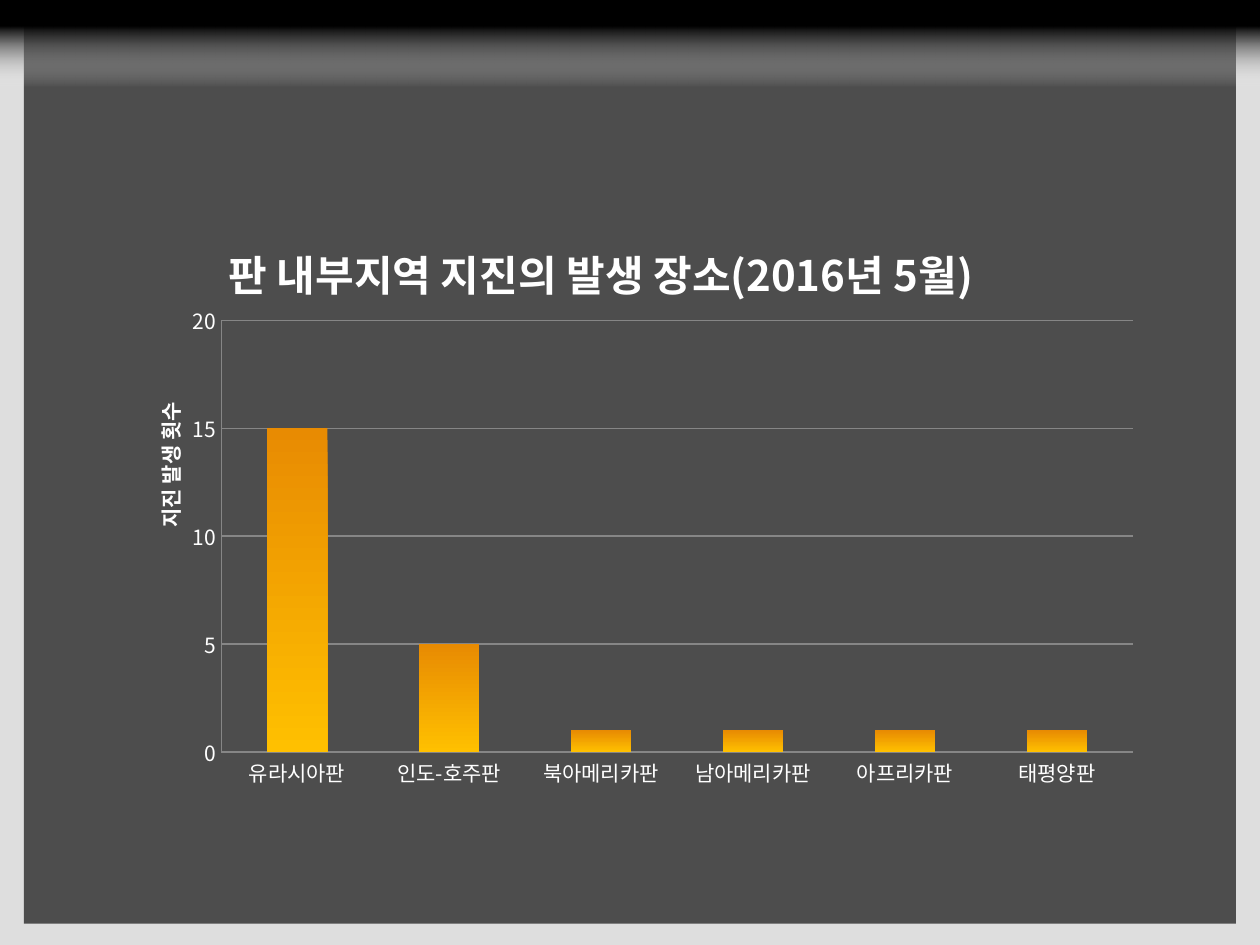
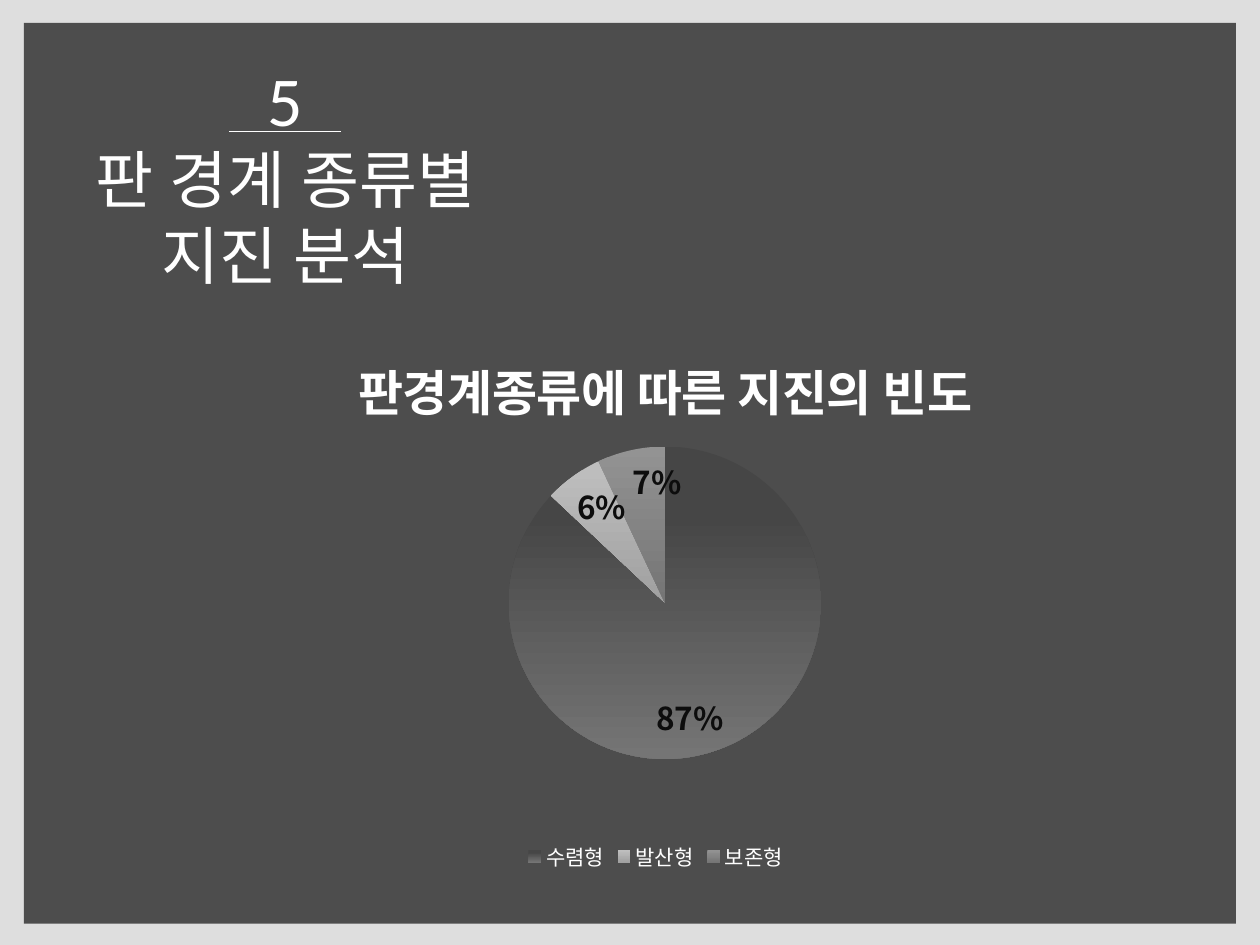
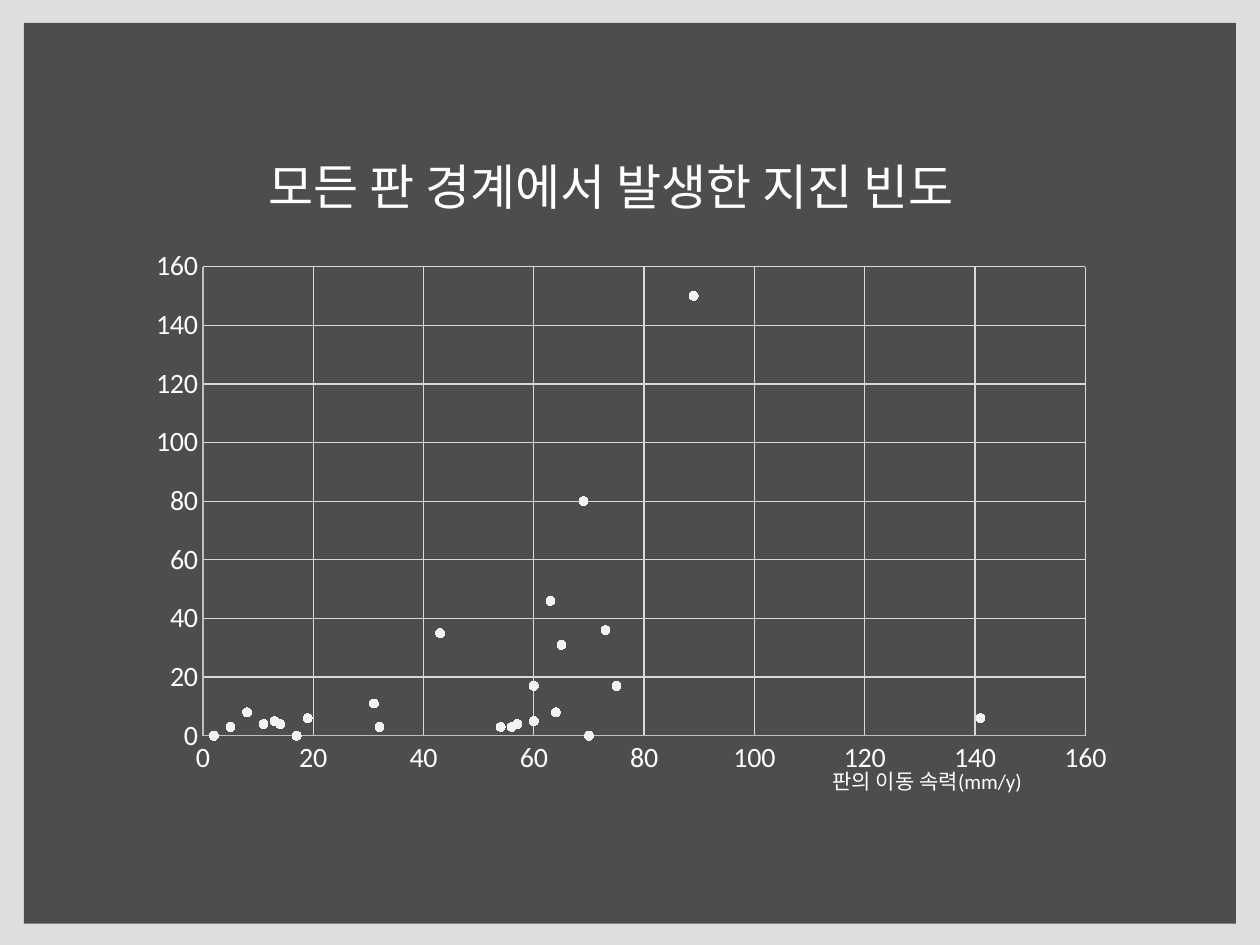
from lxml import etree
from pptx import Presentation
from pptx.chart.data import CategoryChartData, XyChartData
from pptx.dml.color import RGBColor
from pptx.enum.chart import (XL_CHART_TYPE as ChartType, XL_LABEL_POSITION as LabelPosition,
                             XL_LEGEND_POSITION as LegendPosition,
                             XL_MARKER_STYLE as MarkerStyle, XL_TICK_MARK as TickMark)
from pptx.enum.shapes import MSO_CONNECTOR as Connector, MSO_SHAPE as Shape
from pptx.enum.text import MSO_AUTO_SIZE as AutoSize, PP_ALIGN as Align
from pptx.oxml import parse_xml
from pptx.oxml.ns import qn
from pptx.util import Pt

COLORS = {name: RGBColor.from_string(value) for name, value in {
    "black": "000000", "white": "FFFFFF", "ink": "0D0D0D", "marker": "F2F2F2",
    "grid": "D9D9D9", "axis": "BFBFBF", "dim_grid": "868686",
    "orange": "E88B02", "gold": "FFC000",
    "charcoal": "464646", "gray": "757575", "silver": "BFBFBF",
    "dark_silver": "A0A0A0", "steel": "939393"}.items()}
KOREAN = "Noto Sans CJK KR"
CHART_NS = "http://schemas.openxmlformats.org/drawingml/2006/chart"


def fill_gradient(fill, top, bottom, start=0):
    """Vertical gradient that begins at the given fraction of the height."""
    fill.gradient()
    fill.gradient_angle = 270
    for stop, color, position in zip(fill.gradient_stops, (top, bottom), (start, 1)):
        stop.color.rgb = COLORS[color]
        stop.position = position


def place(element, **fractions):
    """Fix a chart title or plot area at fractions of the chart's size."""
    for layout in element.findall(qn("c:layout")):
        element.remove(layout)
    is_plot = element.tag == qn("c:plotArea")
    target = '<c:layoutTarget val="inner"/>' if is_plot else ""
    modes = "".join(f'<c:{side}Mode val="edge"/>' for side in "xy")
    sizes = "".join(f'<c:{side} val="{value}"/>' for side, value in fractions.items())
    layout = parse_xml(f'<c:layout xmlns:c="{CHART_NS}"><c:manualLayout>'
                       f'{target}{modes}{sizes}</c:manualLayout></c:layout>')
    element.insert(0 if is_plot else 1, layout)


deck = Presentation()
deck.slide_width, deck.slide_height = Pt(720), Pt(540)
pages = [deck.slides.add_slide(deck.slide_layouts[6]) for _ in range(3)]
plates_page, types_page, speed_page = pages

# Shared backdrop: a pale frame and a dark panel: left, top, width, height, opacity
for page in pages:
    for left, top, width, height, opacity in [(0, 0, 720, 540, 13),
                                              (13.7, 13, 692.6, 514.8, 65)]:
        panel = page.shapes.add_shape(Shape.RECTANGLE, Pt(left), Pt(top), Pt(width), Pt(height))
        panel.shadow.inherit = False
        panel.line.fill.background()
        panel.fill.solid()
        panel.fill.fore_color.rgb = COLORS["black"]
        color = panel._element.spPr.find(".//" + qn("a:srgbClr"))
        etree.SubElement(color, qn("a:alpha")).set("val", str(opacity * 1000))

# Slide 1: black band fading out below the top edge
band = plates_page.shapes.add_shape(Shape.RECTANGLE, 0, 0, Pt(749.5), Pt(49.7))
band.shadow.inherit = False
band.line.fill.background()
fill_gradient(band.fill, "black", "white", 0.3)
clear_end = band._element.spPr.findall(".//" + qn("a:srgbClr"))[-1]
etree.SubElement(clear_end, qn("a:alpha")).set("val", "0")

# Chart data
plate_data = CategoryChartData()
plate_data.categories = ["유라시아판", "인도-호주판", "북아메리카판",
                         "남아메리카판", "아프리카판", "태평양판"]
plate_data.add_series("Series 1", [15, 5, 1, 1, 1, 1])

type_data = CategoryChartData()
type_data.categories = ["수렴형", "발산형", "보존형"]
type_data.add_series("Series 1", [87, 6, 7])

speed_data = XyChartData()
speed_series = speed_data.add_series("Series 1")
speeds = [19, 31, 17, 8, 13, 32, 14, 2, 32, 63, 64, 5, 69,
          89, 43, 65, 57, 54, 141, 56, 11, 75, 60, 73, 60, 70]
quakes = [6, 11, 0, 8, 5, 3, 4, 0, 3, 46, 8, 3, 80,
          150, 35, 31, 4, 3, 6, 3, 4, 17, 5, 36, 17, 0]
for speed, count in zip(speeds, quakes):
    speed_series.add_data_point(speed, count)

# Charts: page, type, data, frame, font, size, plot area fractions
charts = []
for page, kind, data, frame, font, size, plot_area in [
    (plates_page, ChartType.COLUMN_CLUSTERED, plate_data, (60.5, 114.5, 599, 342.7),
     KOREAN, 12, (0.11, 0.2, 0.87, 0.72)),
    (types_page, ChartType.PIE, type_data, (109.4, 164.2, 530.6, 337),
     KOREAN, 10, (0.28, 0.27, 0.46, 0.53)),
    (speed_page, ChartType.XY_SCATTER, speed_data, (76.3, 136.8, 566.6, 311.8),
     "Calibri", 16, (0.07, 0.05, 0.89, 0.86)),
]:
    chart = page.shapes.add_chart(kind, *map(Pt, frame), data).chart
    chart.font.name, chart.font.size = font, Pt(size)
    chart.font.color.rgb = COLORS["white"]
    chart.has_legend = chart.has_title = False
    place(chart._chartSpace.chart.plotArea, **dict(zip("xywh", plot_area)))
    charts.append(chart)
plate_chart, type_chart, speed_chart = charts

# Chart titles and the axis title
plate_axis = plate_chart.value_axis
for owner, title, text, size, x, y in [
    (plate_chart, plate_chart.chart_title, "판 내부지역 지진의 발생 장소(2016년 5월)", 24, 0.11, 0.05),
    (type_chart, type_chart.chart_title, "판경계종류에 따른 지진의 빈도", 28, 0.17, 0.09),
    (plate_axis, plate_axis.axis_title, "지진 발생 횟수", 12, 0.04, 0.33),
]:
    owner.has_title = True
    title.text_frame.text = text
    span = title.text_frame.paragraphs[0].runs[0]
    span.font.name, span.font.size, span.font.bold = KOREAN, Pt(size), True
    span.font.color.rgb = COLORS["white"]
    place(title._element, x=x, y=y)
plate_axis.axis_title.text_frame._txBody.bodyPr.set("rot", "-5400000")

# Axes: chart, maximum, step, grid colour, axis colour
for chart, maximum, step, grid, line in [(plate_chart, 20, 5, "dim_grid", "dim_grid"),
                                         (speed_chart, 160, 20, "grid", "axis")]:
    for axis in (chart.category_axis, chart.value_axis):
        axis.major_tick_mark = axis.minor_tick_mark = TickMark.NONE
        axis.format.line.color.rgb = COLORS[line]
        axis.format.line.width = Pt(0.75)
        axis.has_major_gridlines = chart is speed_chart or axis is not chart.category_axis
        if chart is plate_chart and axis._element.tag == qn("c:catAx"):
            axis.has_major_gridlines = False
            continue
        axis.major_gridlines.format.line.color.rgb = COLORS[grid]
        axis.major_gridlines.format.line.width = Pt(0.75)
        axis.minimum_scale, axis.maximum_scale, axis.major_unit = 0, maximum, step

# Columns
columns = plate_chart.plots[0]
columns.gap_width, columns.vary_by_categories = 150, False
fill_gradient(columns.series[0].format.fill, "orange", "gold")

# Pie slices, percentages and legend
pie = type_chart.plots[0]
for index, (top, bottom, start) in enumerate([("charcoal", "gray", 0.22),
                                              ("silver", "dark_silver", 0),
                                              ("steel", "gray", 0)]):
    slice_format = pie.series[0].points[index].format
    fill_gradient(slice_format.fill, top, bottom, start)
    slice_format.line.fill.background()
pie.has_data_labels = True
labels = pie.data_labels
labels.show_percentage, labels.show_value = True, False
labels.number_format, labels.number_format_is_linked = "0%", False
labels.position = LabelPosition.INSIDE_END
labels.font.size, labels.font.bold = Pt(18), True
labels.font.color.rgb = COLORS["ink"]
type_chart.has_legend = True
type_chart.legend.position = LegendPosition.BOTTOM
type_chart.legend.include_in_layout = False
type_chart.legend.font.size = Pt(12)
type_chart.legend.font.color.rgb = COLORS["white"]

# Scatter dots
speed_chart.plots[0].vary_by_categories = False
dots = speed_chart.plots[0].series[0]
dots.smooth = False
dots.format.line.fill.background()
dots.marker.style, dots.marker.size = MarkerStyle.CIRCLE, 5
dots.marker.format.fill.solid()
dots.marker.format.fill.fore_color.rgb = COLORS["marker"]
dots.marker.format.line.fill.background()

# Text boxes: page, frame, wrap, alignment, lines of text, size and font
for page, frame, wrap, align, lines in [
    (types_page, (24.5, 28.8, 277.2, 99.4), True, Align.CENTER,
     [("5", 40, "Calibri"), ("판 경계 종류별 지진 분석", 36, "Lato")]),
    (speed_page, (135.4, 85.7, 427, 41), False, Align.CENTER,
     [("모든 판 경계에서 발생한 지진 빈도", 28, KOREAN)]),
    (speed_page, (468.7, 435.6, 152.6, 25.9), False, Align.LEFT,
     [("판의 이동 속력(mm/y)", 12, "Calibri")]),
]:
    box = page.shapes.add_textbox(*map(Pt, frame))
    box.text_frame.word_wrap = wrap
    box.text_frame.auto_size = AutoSize.SHAPE_TO_FIT_TEXT
    box.text_frame.text = "\n".join(text for text, _, _ in lines)
    for para, (_, size, font) in zip(box.text_frame.paragraphs, lines):
        para.alignment = align
        span = para.runs[0]
        span.font.name, span.font.size = font, Pt(size)
        span.font.color.rgb = COLORS["white"]

# Slide 2: rule under the section number
rule = types_page.shapes.add_connector(Connector.STRAIGHT, Pt(131), Pt(75), Pt(195), Pt(75))
rule.line.color.rgb = COLORS["white"]
rule.line.width = Pt(0.5)
etree.SubElement(rule._element.spPr, qn("a:effectLst"))

# Korean letters take the same font as Latin ones
roots = [page._element for page in pages] + [chart._chartSpace for chart in charts]
for root in roots:
    for latin in list(root.iter(qn("a:latin"))):
        east_asian = etree.Element(qn("a:ea"))
        east_asian.set("typeface", latin.get("typeface"))
        latin.addnext(east_asian)

deck.save("out.pptx")
